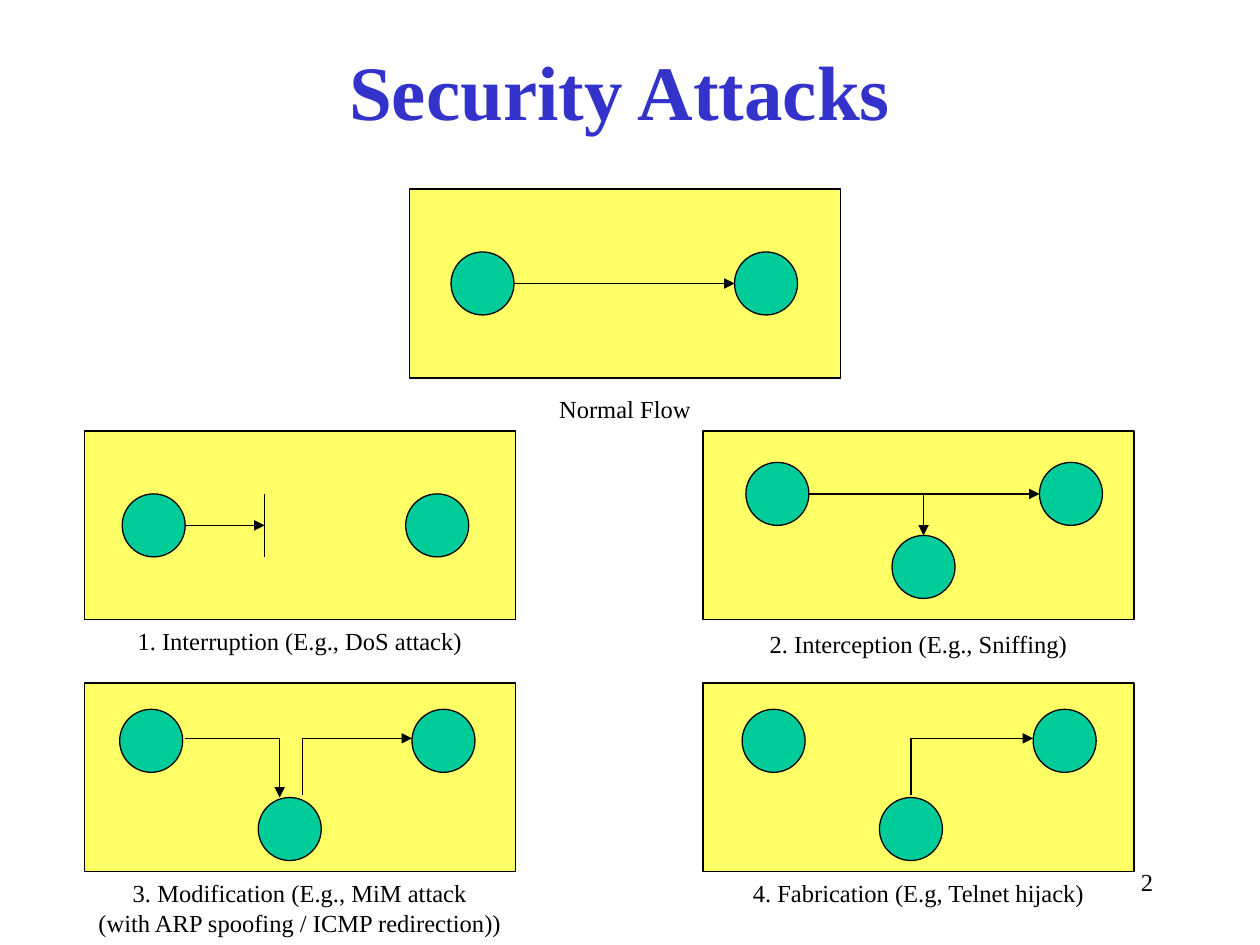
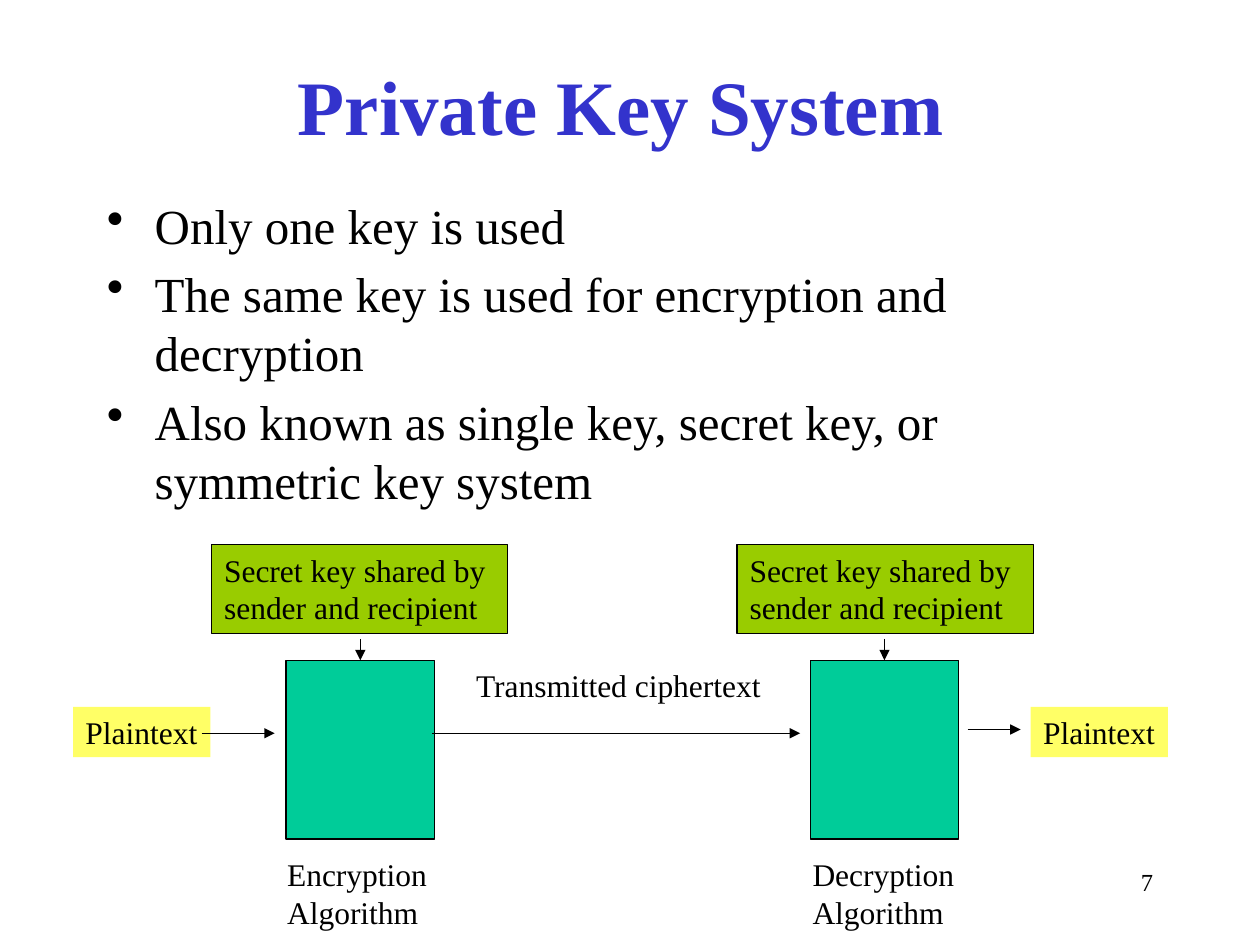
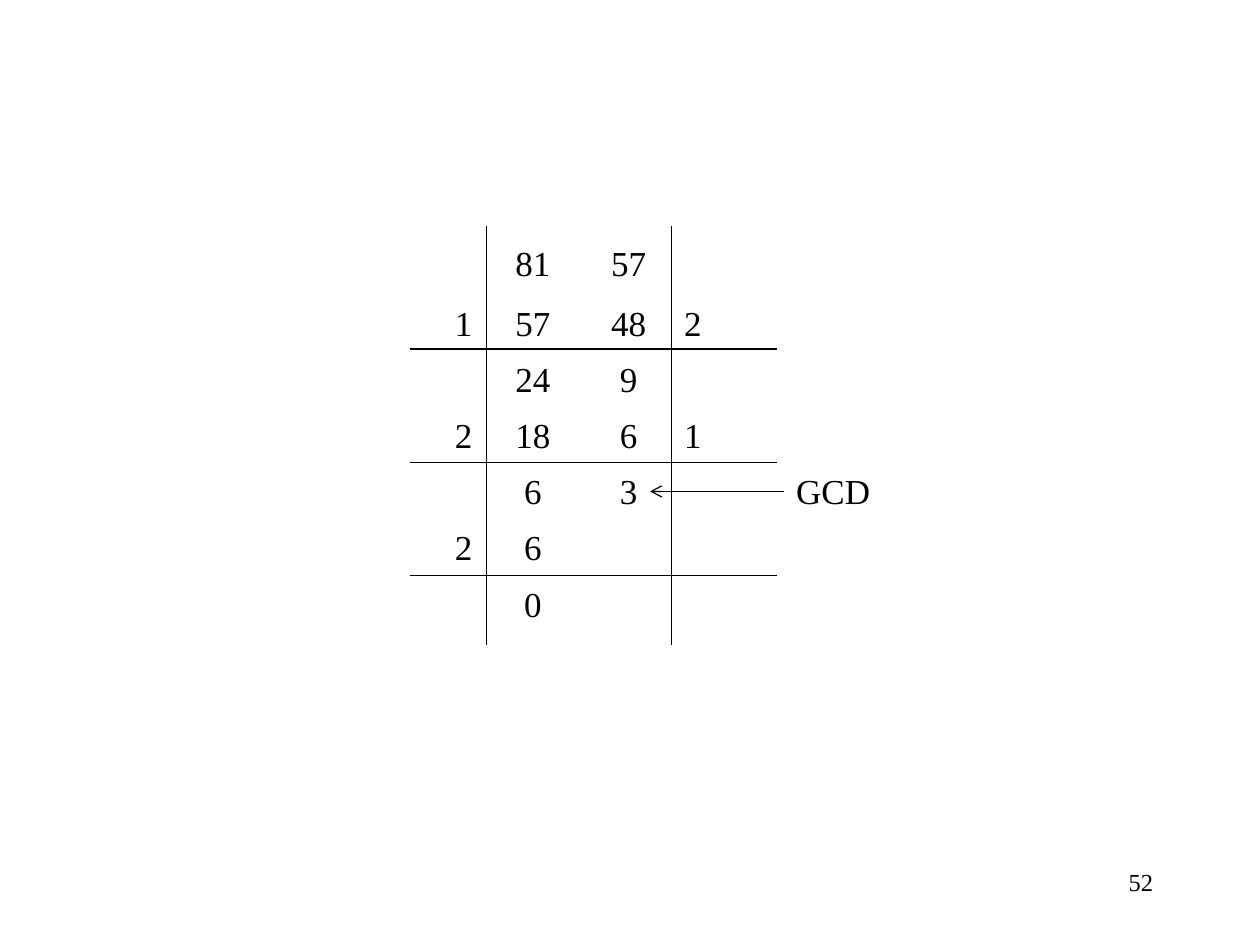
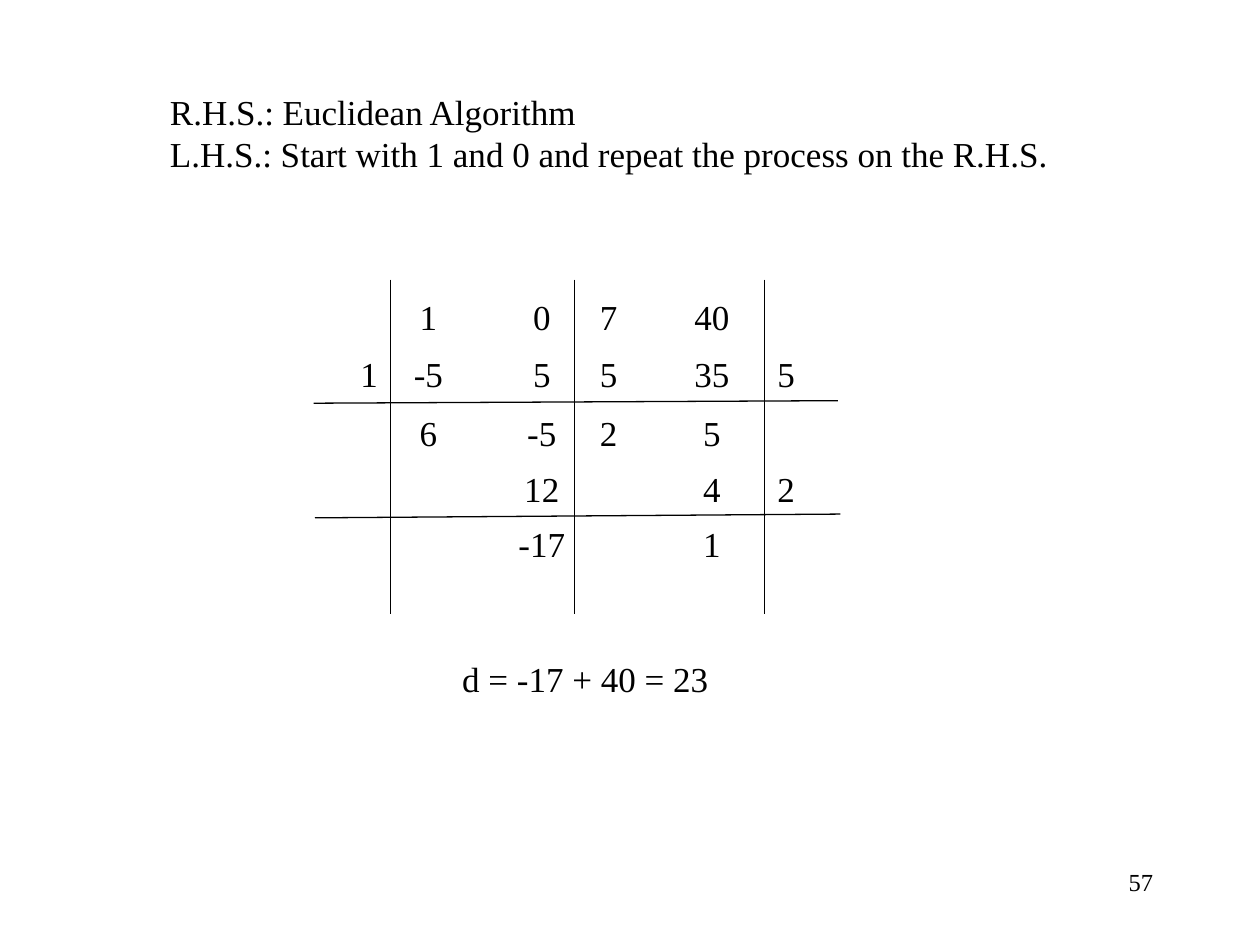
from dataclasses import dataclass

from lxml.etree import SubElement
from pptx import Presentation
from pptx.dml.color import RGBColor
from pptx.enum.shapes import MSO_CONNECTOR, MSO_SHAPE
from pptx.enum.text import MSO_ANCHOR, MSO_AUTO_SIZE, PP_ALIGN
from pptx.oxml.ns import qn
from pptx.util import Emu, Pt

PX = 9144
FONT = "Times New Roman"
BLACK = "000000"
TITLE_BLUE = "3333CC"
YELLOW = "FFFF66"
TEAL = "00CC99"
GREEN = "99CC00"

PANEL_W, PANEL_H = 342, 150
NODE_SIZE = 50
ALGORITHM_W, ALGORITHM_H = 118, 142


@dataclass(frozen=True)
class Box:
    left: int
    top: int
    width: int
    height: int


@dataclass(frozen=True)
class Panel:
    left: int
    top: int
    caption: str
    caption_gap: int
    nodes: tuple


@dataclass(frozen=True)
class Line:
    x1: int
    y1: int
    x2: int
    y2: int
    head: str = ""


@dataclass(frozen=True)
class DivisionGrid:
    centers: tuple
    tops: tuple
    rows: tuple
    rules: tuple


@dataclass(frozen=True)
class Stage:
    left: int
    name: str
    name_box: Box
    key_box: Box


PANELS = (
    Panel(325, 150, "Normal Flow", 158, ((358, 200), (583, 200))),
    Panel(67, 342, "1. Interruption (E.g., DoS attack)", 150,
          ((97, 392), (322, 392))),
    Panel(558, 342, "2. Interception (E.g., Sniffing)", 152,
          ((592, 367), (825, 367), (708, 425))),
    Panel(67, 542, "3. Modification (E.g., MiM attack\n"
          "(with ARP spoofing / ICMP redirection))", 150,
          ((95, 563), (327, 563), (205, 633))),
    Panel(558, 542, "4. Fabrication (E.g, Telnet hijack)", 150,
          ((589, 563), (820, 563), (698, 633))),
)
FLOWS = (
    Line(408, 225, 583, 225, "triangle"),
    Line(642, 392, 825, 392, "triangle"),
    Line(733, 392, 733, 425, "triangle"),
    Line(147, 417, 210, 417, "triangle"),
    Line(210, 392, 210, 442),
)
ELBOWS = (
    ((147, 586), (222, 586), (222, 633)),
    ((240, 631), (240, 586), (327, 586)),
    ((723, 631), (723, 586), (820, 586)),
)

KEY_BULLETS = (
    "Only one key is used\n"
    "The same key is used for encryption and decryption\n"
    "Also known as single key, secret key, or symmetric key system"
)
STAGES = (
    Stage(227, "Encryption\nAlgorithm", Box(218, 674, 138, 70),
          Box(168, 432, 235, 71)),
    Stage(643, "Decryption\nAlgorithm", Box(635, 674, 139, 70),
          Box(585, 432, 235, 71)),
)
PLAINTEXT_LEFTS = (58, 818)
CIPHER_FLOWS = (
    Line(160, 582, 218, 582, "triangle"),
    Line(343, 582, 635, 582, "triangle"),
    Line(768, 579, 810, 579, "triangle"),
)

GCD_GRID = DivisionGrid(
    centers=(368, 423, 499, 550),
    tops=(187, 234, 279, 323, 368, 412, 457),
    rows=(
        ("", "81", "57", ""),
        ("1", "57", "48", "2"),
        ("", "24", "9", ""),
        ("2", "18", "6", "1"),
        ("", "6", "3", ""),
        ("2", "6", "", ""),
        ("", "0", "", ""),
    ),
    rules=tuple(Line(325, y, 617, y) for y in (277, 367, 457))
    + tuple(Line(x, 179, x, 512) for x in (386, 533)),
)
INVERSE_GRID = DivisionGrid(
    centers=(293, 340, 430, 483, 565, 624),
    tops=(230, 275, 322, 366, 410),
    rows=(
        ("", "1", "0", "7", "40", ""),
        ("1", "-5", "5", "5", "35", "5"),
        ("", "6", "-5", "2", "5", ""),
        ("", "", "12", "", "4", "2"),
        ("", "", "-17", "", "1", ""),
    ),
    rules=(Line(249, 320, 665, 318), Line(250, 411, 667, 408))
    + tuple(Line(x, 222, x, 487) for x in (310, 456, 607)),
)


def px(n: int) -> Emu:
    return Emu(n * PX)


def color(value: str) -> RGBColor:
    return RGBColor.from_string(value)


def write(s, text: str, size: int, align=PP_ALIGN.LEFT, wrap: bool = True,
          grow: bool = True, ink: str = BLACK, bold: bool = False) -> None:
    tf = s.text_frame
    tf.text = text
    tf.word_wrap = wrap
    tf.auto_size = MSO_AUTO_SIZE.SHAPE_TO_FIT_TEXT if grow else MSO_AUTO_SIZE.NONE
    tf.vertical_anchor = MSO_ANCHOR.TOP
    for p in tf.paragraphs:
        p.alignment = align
        for r in p.runs:
            r.font.name = FONT
            r.font.size = Pt(size)
            r.font.bold = bold
            r.font.color.rgb = color(ink)


def add_text(slide, box: Box, text: str, size: int, **style):
    s = slide.shapes.add_textbox(px(box.left), px(box.top),
                                 px(box.width), px(box.height))
    write(s, text, size, **style)
    return s


def add_block(slide, kind, box: Box, fill: str, outlined: bool = True):
    s = slide.shapes.add_shape(kind, px(box.left), px(box.top),
                               px(box.width), px(box.height))
    s.shadow.inherit = False
    s.fill.solid()
    s.fill.fore_color.rgb = color(fill)
    if outlined:
        stroke(s)
    else:
        s.line.fill.background()
    return s


def stroke(s, head: str = "") -> None:
    s.line.color.rgb = color(BLACK)
    s.line.width = Pt(0.75)
    if head:
        ln = s._element.spPr.find(qn("a:ln"))
        SubElement(ln, qn("a:tailEnd"), type=head)


def add_line(slide, line: Line):
    s = slide.shapes.add_connector(MSO_CONNECTOR.STRAIGHT, px(line.x1), px(line.y1),
                                   px(line.x2), px(line.y2))
    stroke(s, line.head)
    SubElement(s._element.spPr, qn("a:effectLst"))
    return s


def add_elbow(slide, points: tuple) -> None:
    start, *rest = points
    builder = slide.shapes.build_freeform(*start, scale=PX)
    builder.add_line_segments(rest, close=False)
    s = builder.convert_to_shape()
    s.shadow.inherit = False
    s.fill.background()
    stroke(s, "triangle")


def add_title(slide, text: str, box: Box) -> None:
    s = add_text(slide, box, text, 44, align=PP_ALIGN.CENTER, grow=False,
                 ink=TITLE_BLUE, bold=True)
    s.text_frame.vertical_anchor = MSO_ANCHOR.MIDDLE


def add_bullets(slide, text: str, box: Box) -> None:
    s = add_text(slide, box, text, 28, grow=False)
    for p in s.text_frame.paragraphs:
        p.space_before = Pt(5.6)
        pPr = p._p.get_or_add_pPr()
        pPr.set("marL", str(px(38)))
        pPr.set("indent", str(px(-38)))
        SubElement(pPr, qn("a:buChar"), char="•")


def add_grid(slide, grid: DivisionGrid) -> None:
    for top, row in zip(grid.tops, grid.rows):
        for center, value in zip(grid.centers, row):
            if value:
                width = 20 + sum(10 if c == "-" else 14 for c in value)
                add_text(slide, Box(center - width // 2, top, width, 44), value, 20,
                         align=PP_ALIGN.CENTER, wrap=False)
    for rule in grid.rules:
        add_line(slide, rule)


def add_slide(prs, number: int):
    slide = prs.slides.add_slide(prs.slide_layouts[6])
    add_text(slide, Box(717, 683, 208, 50), str(number), 14,
             align=PP_ALIGN.RIGHT, grow=False)
    return slide


def build_attacks(prs) -> None:
    slide = add_slide(prs, 2)
    add_title(slide, "Security Attacks", Box(67, 25, 850, 92))
    for panel in PANELS:
        add_block(slide, MSO_SHAPE.RECTANGLE,
                  Box(panel.left, panel.top, PANEL_W, PANEL_H), YELLOW)
        for left, top in panel.nodes:
            add_block(slide, MSO_SHAPE.OVAL,
                      Box(left, top, NODE_SIZE, NODE_SIZE), TEAL)
        height = 57 if "\n" in panel.caption else 34
        add_text(slide, Box(panel.left, panel.top + panel.caption_gap, PANEL_W, height),
                 panel.caption, 14, align=PP_ALIGN.CENTER)
    for flow in FLOWS:
        add_line(slide, flow)
    for points in ELBOWS:
        add_elbow(slide, points)


def build_private_key(prs) -> None:
    slide = add_slide(prs, 7)
    add_title(slide, "Private Key System", Box(68, 33, 850, 100))
    add_bullets(slide, KEY_BULLETS, Box(75, 150, 850, 517))
    for stage in STAGES:
        algorithm = add_block(slide, MSO_SHAPE.RECTANGLE,
                              Box(stage.left, 524, ALGORITHM_W, ALGORITHM_H), TEAL)
        key = add_block(slide, MSO_SHAPE.RECTANGLE, stage.key_box, GREEN)
        write(key, "Secret key shared by\nsender and recipient", 18, wrap=False)
        add_text(slide, stage.name_box, stage.name, 18, wrap=False)
        middle = stage.left + ALGORITHM_W // 2
        arrow = add_line(slide, Line(middle, 507, middle, 524, "triangle"))
        arrow.end_connect(algorithm, 0)
    for left in PLAINTEXT_LEFTS:
        s = add_block(slide, MSO_SHAPE.RECTANGLE, Box(left, 561, 109, 40), YELLOW,
                      outlined=False)
        write(s, "Plaintext", 18, wrap=False)
    add_text(slide, Box(368, 524, 247, 40), "Transmitted ciphertext", 18, wrap=False)
    for flow in CIPHER_FLOWS:
        add_line(slide, flow)


def build_gcd(prs) -> None:
    slide = add_slide(prs, 52)
    add_grid(slide, GCD_GRID)
    add_text(slide, Box(622, 368, 80, 44), "GCD", 20, wrap=False)
    add_line(slide, Line(622, 390, 516, 390, "arrow"))


def build_inverse(prs) -> None:
    slide = add_slide(prs, 57)
    add_grid(slide, INVERSE_GRID)
    add_text(slide, Box(357, 517, 217, 44), "d = -17 + 40 = 23", 20, wrap=False)
    add_text(slide, Box(125, 67, 722, 77),
             "R.H.S.: Euclidean Algorithm\n"
             "L.H.S.: Start with 1 and 0 and repeat the process on the R.H.S.",
             20, wrap=False)


def main() -> None:
    prs = Presentation()
    prs.slide_width, prs.slide_height = px(1000), px(750)
    for build in (build_attacks, build_private_key, build_gcd, build_inverse):
        build(prs)
    prs.save("out.pptx")


if __name__ == "__main__":
    main()
